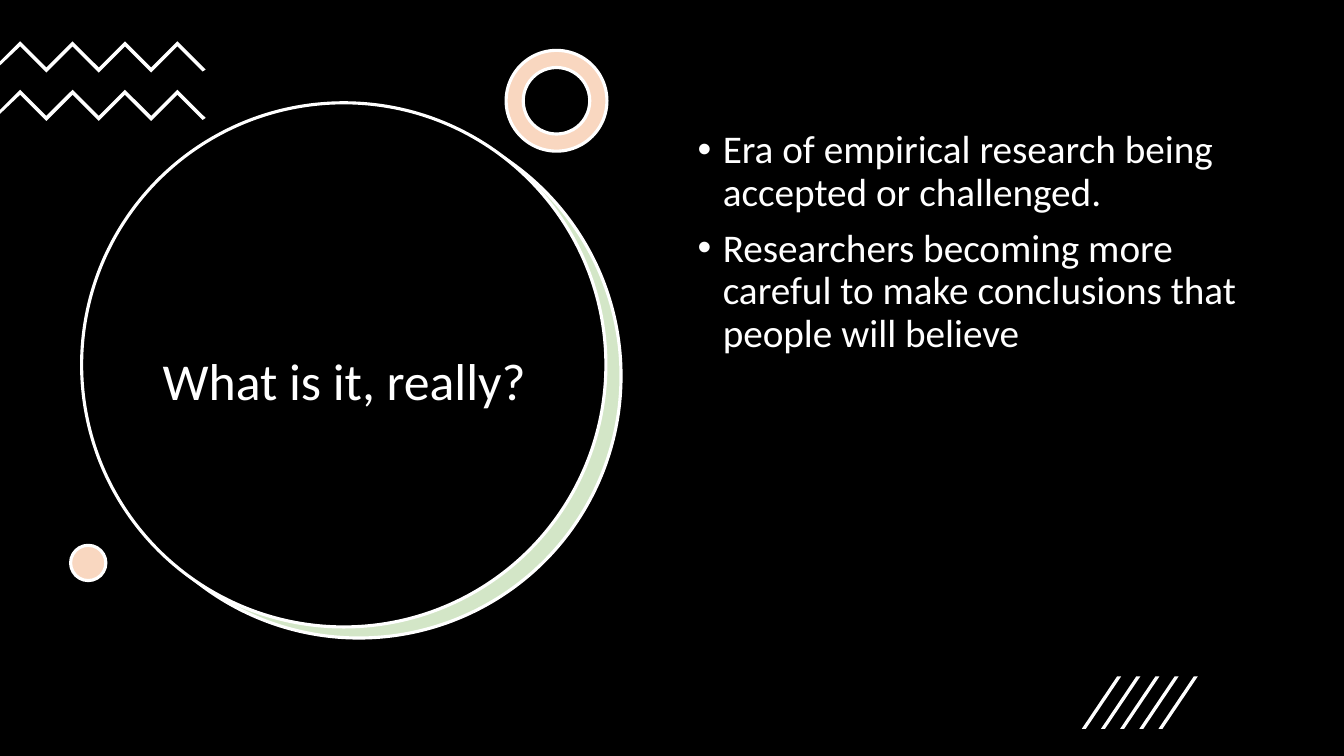
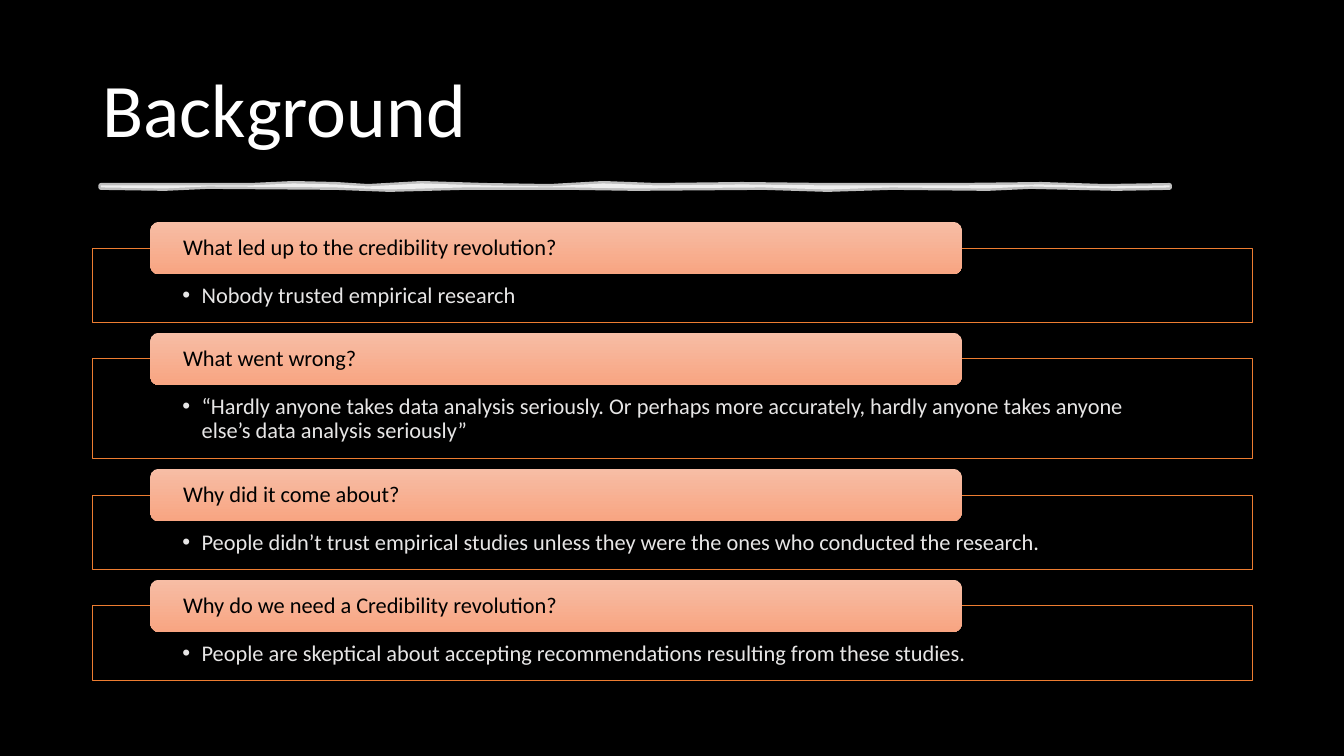
from lxml import etree
from pptx import Presentation
from pptx import util as u
from pptx.dml import color
from pptx.enum import shapes, text
from pptx.oxml import ns

COLOURS = {
    "black": "000000",
    "white": "FFFFFF",
    "grey": "E7E6E6",
    "orange": "ED7D31",
    "green": "70AD47",
    "peach_top": "F7BDA5",
    "peach_bottom": "F8A582",
}
FONT = "Calibri"
KINDS = shapes.MSO_SHAPE


def rgb(name):
    return color.RGBColor.from_string(COLOURS[name])


def set_alpha(shape, percent):
    for colour in shape.element.spPr.iter(ns.qn("a:srgbClr")):
        etree.SubElement(colour, ns.qn("a:alpha"), val=str(percent * 1000))


def paint(shape, fill=None, line=None, width=2.25):
    shape.shadow.inherit = False
    if fill:
        shape.fill.solid()
        shape.fill.fore_color.rgb = rgb(fill)
    else:
        shape.fill.background()
    if line:
        shape.line.color.rgb = rgb(line)
        shape.line.width = u.Pt(width)
    else:
        shape.line.fill.background()
    return shape


def add_preset(slide, kind, box):
    return slide.shapes.add_shape(kind, *(u.Inches(length) for length in box))


def add_outline(slide, points):
    corners = [(u.Inches(x), u.Inches(y)) for x, y in points]
    builder = slide.shapes.build_freeform(*corners[0])
    builder.add_line_segments(corners[1:], close=True)
    return builder.convert_to_shape()


def add_tinted(slide, kind, box, tint, ring=None):
    for fill, line, opacity in (("white", None, 100), (tint, "white", 30)):
        shape = paint(add_preset(slide, kind, box), fill, line)
        if ring:
            shape.adjustments[0] = ring
        if opacity < 100:
            set_alpha(shape.fill and shape, opacity) if not line else None
            fill_colour = shape.element.spPr.find(ns.qn("a:solidFill"))[0]
            etree.SubElement(fill_colour, ns.qn("a:alpha"), val=str(opacity * 1000))


def write(shape, paragraphs, size, colour, align=text.PP_ALIGN.LEFT,
          anchor=text.MSO_ANCHOR.TOP, insets=(0.1, 0.05, 0.1, 0.05),
          indent=0, before=0):
    frame = shape.text_frame
    frame.word_wrap = True
    frame.vertical_anchor = anchor
    (frame.margin_left, frame.margin_top,
     frame.margin_right, frame.margin_bottom) = map(u.Inches, insets)
    frame.text = "\n".join(paragraphs)
    for paragraph in frame.paragraphs:
        paragraph.alignment = align
        paragraph.line_spacing = 0.9
        paragraph.space_before = u.Pt(before)
        paragraph.font.name = FONT
        paragraph.font.size = u.Pt(size)
        paragraph.font.color.rgb = rgb(colour)
        if indent:
            properties = paragraph._p.get_or_add_pPr()
            properties.set("marL", str(u.Inches(indent)))
            properties.set("indent", str(-u.Inches(indent)))
            bullet_font = etree.Element(ns.qn("a:buFont"), typeface="Arial")
            bullet = etree.Element(ns.qn("a:buChar"), char="\u2022")
            default = properties.find(ns.qn("a:defRPr"))
            default.addprevious(bullet_font)
            default.addprevious(bullet)


def add_text(slide, box, paragraphs, size, **style):
    textbox = slide.shapes.add_textbox(*(u.Inches(length) for length in box))
    write(textbox, paragraphs, size, "white", **style)


def add_title(slide, box, title, size, align=text.PP_ALIGN.LEFT):
    add_text(slide, box, [title], size, align=align, anchor=text.MSO_ANCHOR.MIDDLE)


def add_slide(presentation):
    slide = presentation.slides.add_slide(presentation.slide_layouts[6])
    slide.background.fill.solid()
    slide.background.fill.fore_color.rgb = rgb("black")
    return slide


def add_zigzag(slide, top, step=0.26, thickness=0.05):
    peaks = [(0.2 + step * i, top + step * (i % 2)) for i in range(7)]
    lower = [(x, y + thickness) for x, y in reversed(peaks)]
    end = [(2.04, top + 0.28), (2.01, top + 0.3)]
    points = [(0, top + 0.2)] + peaks + end + lower + [(0, top + 0.24)]
    paint(add_outline(slide, points), "white")


def add_stripes(slide, left, top, count=5, pitch=0.19):
    for i in range(count):
        x = left + pitch * i
        points = [(x + 0.04, top + 0.52), (x, top + 0.52), (x + 0.35, top), (x + 0.39, top)]
        paint(add_outline(slide, points), "white")


def add_title_disc(slide, left, top, title, size=5.2):
    add_tinted(slide, KINDS.OVAL, (left + 0.15, top + 0.11, size, size), "green")
    paint(add_preset(slide, KINDS.OVAL, (left, top, size, size)), "black", "white")
    add_title(slide, (left + 0.4, top + 1.03, 4.41, 3.52), title, 37, text.PP_ALIGN.CENTER)


def add_brush_line(slide, left, top, width):
    upper = [(0, 0), (0.1, 0), (0.14, 0), (0.18, -0.02), (0.22, -0.01), (0.25, 0.01),
             (0.3, -0.02), (0.36, 0), (0.42, 0.01), (0.47, -0.02), (0.52, 0),
             (0.6, -0.01), (0.68, 0), (0.8, 0), (0.88, -0.01), (0.94, 0.01), (1, 0)]
    lower = [(1, 0.02), (0.95, 0.03), (0.87, 0.01), (0.83, 0.03), (0.74, 0.02),
             (0.68, 0.04), (0.62, 0.02), (0.5, 0.03), (0.44, 0.02), (0.34, 0.02),
             (0.27, 0.04), (0.22, 0.02), (0.1, 0.01), (0.06, 0.03), (0, 0.02)]
    points = [(left + width * x, top + y) for x, y in upper + lower]
    for fill, line in ((None, "white"), ("white", None)):
        set_alpha(paint(add_outline(slide, points), fill, line, 3.5), 75)


def add_card(slide, box, heading, detail):
    left, top, width, height = box
    frame = paint(add_preset(slide, KINDS.RECTANGLE, box), None, "orange", 0.5)
    write(frame, [detail], 16, "grey", insets=(0.89, 0.36, 0.89, 0.12), indent=0.19)
    tab = add_preset(slide, KINDS.ROUNDED_RECTANGLE, (left + 0.57, top - 0.26, 8.05, 0.52))
    paint(tab)
    tab.fill.gradient()
    tab.fill.gradient_angle = 270
    for stop, name, position in zip(tab.fill.gradient_stops, ("peach_top", "peach_bottom"), (0, 1)):
        stop.color.rgb = rgb(name)
        stop.position = position
    write(tab, [heading], 16, "black", anchor=text.MSO_ANCHOR.MIDDLE, insets=(0.3, 0, 0.3, 0))


def build_definition(presentation):
    slide = add_slide(presentation)
    add_title_disc(slide, 0.81, 1.02, "What is it, really?")
    for top in (0.41, 0.89):
        add_zigzag(slide, top)
    add_tinted(slide, KINDS.DONUT, (5.02, 0.5, 1, 1), "orange", ring=0.17)
    add_tinted(slide, KINDS.OVAL, (0.7, 5.41, 0.35, 0.35), "orange")
    add_text(slide, (6.82, 1.24, 5.71, 4.76), [
        "Era of empirical research being accepted or challenged.",
        "Researchers becoming more careful to make conclusions that people will believe",
    ], 28, indent=0.25, before=10)
    add_stripes(slide, 10.73, 6.71)


def build_background(presentation):
    slide = add_slide(presentation)
    left, width, gap = 0.92, 11.5, 0.36
    add_title(slide, (left, 0.4, width, 1.45), "Background", 54)
    add_brush_line(slide, 1, 1.84, 10.6)
    cards = [
        ("What led up to the credibility revolution?", "Nobody trusted empirical research", 0.74),
        ("What went wrong?",
         "\u201cHardly anyone takes data analysis seriously. Or perhaps more accurately, "
         "hardly anyone takes anyone else\u2019s data analysis seriously\u201d", 0.99),
        ("Why did it come about?",
         "People didn\u2019t trust empirical studies unless they were the ones "
         "who conducted the research.", 0.74),
        ("Why do we need a Credibility revolution?",
         "People are skeptical about accepting recommendations resulting "
         "from these studies.", 0.74),
    ]
    top = 2.46
    for heading, detail, height in cards:
        add_card(slide, (left, top, width, height), heading, detail)
        top += height + gap


presentation = Presentation()
presentation.slide_width = u.Inches(13.33)
presentation.slide_height = u.Inches(7.5)
build_definition(presentation)
build_background(presentation)
presentation.save("out.pptx")
